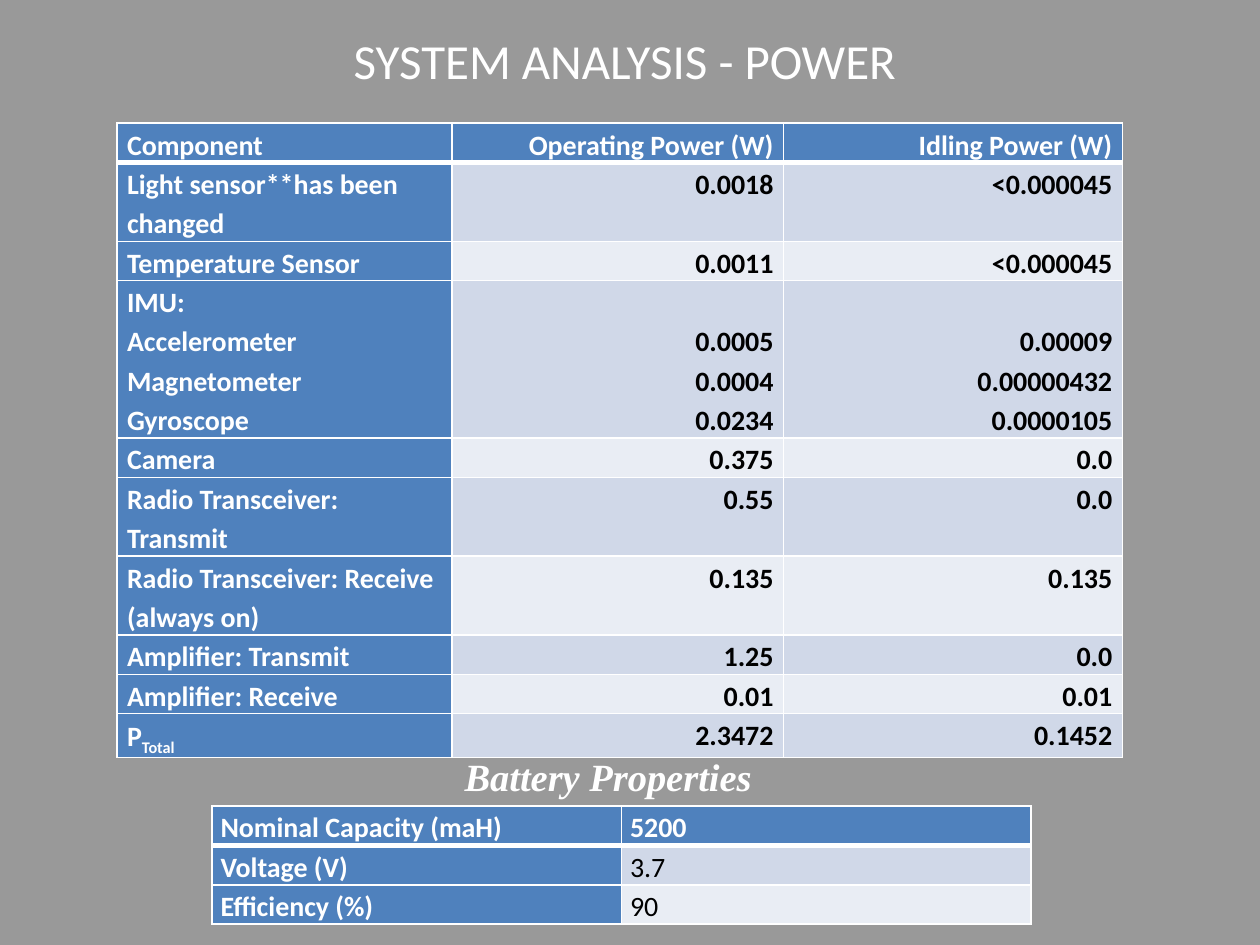
from dataclasses import dataclass

from lxml.etree import SubElement
from pptx import Presentation
from pptx.dml.color import RGBColor as RGB
from pptx.enum.text import MSO_ANCHOR as ANCHOR, PP_ALIGN as ALIGN
from pptx.oxml.ns import qn
from pptx.util import Pt


@dataclass(frozen=True)
class Theme:
    background: str = "999999"
    accent: str = "4F81BD"
    bands: tuple = ("D0D8E8", "E9EDF4")
    light: str = "FFFFFF"
    dark: str = "000000"
    sans: str = "Calibri"
    serif: str = "Times New Roman"
    title: int = 28
    caption: int = 22
    body: int = 16
    rule: int = 1
    header_rule: int = 3


def write(tf, text, *, size, font, color, bold=False, italic=False,
          align=ALIGN.LEFT, spacing=1.0):
    """Write one paragraph per line; what follows "_" in a line is subscript."""
    for i, line in enumerate(text.split("\n")):
        p = tf.paragraphs[0] if i == 0 else tf.add_paragraph()
        p.alignment = align
        p.line_spacing = spacing
        for j, part in enumerate(line.split("_")):
            r = p.add_run()
            r.text = part
            r.font.size = Pt(size)
            r.font.name = font
            r.font.bold = bold
            r.font.italic = italic
            r.font.color.rgb = RGB.from_string(color)
            if j:
                r._r.get_or_add_rPr().set("baseline", "-25000")


def set_borders(cell, color, **widths):
    """Draw the L, R, T and B sides; they must precede the cell's fill."""
    tc_pr = cell._tc.get_or_add_tcPr()
    for i, (side, width) in enumerate(widths.items()):
        ln = SubElement(tc_pr, qn(f"a:ln{side}"), w=str(Pt(width)))
        fill = SubElement(ln, qn("a:solidFill"))
        SubElement(fill, qn("a:srgbClr"), val=color)
        tc_pr.insert(i, ln)


class SlideBuilder:
    def __init__(self, prs, theme):
        self.theme = theme
        self.s = prs.slides.add_slide(prs.slide_layouts[6])
        fill = self.s.background.fill
        fill.solid()
        fill.fore_color.rgb = RGB.from_string(theme.background)

    def text(self, text, x, y, w, h, anchor=ANCHOR.TOP, **fmt):
        tf = self.s.shapes.add_textbox(Pt(x), Pt(y), Pt(w), Pt(h)).text_frame
        tf.word_wrap = True
        tf.vertical_anchor = anchor
        write(tf, text, color=self.theme.light, align=ALIGN.CENTER, **fmt)

    def table(self, rows, x, y, widths, lines, line_height, inset,
              value_align=ALIGN.LEFT, value_bold=False):
        """Add a table; lines holds the number of text lines in each row."""
        heights = [n * line_height for n in lines]
        frame = self.s.shapes.add_table(len(rows), len(widths), Pt(x), Pt(y),
                                        Pt(sum(widths)), Pt(sum(heights)))
        table = frame.table
        for column, width in zip(table.columns, widths):
            column.width = Pt(width)
        for i, (row, height) in enumerate(zip(rows, heights)):
            table.rows[i].height = Pt(height)
            for j, text in enumerate(row):
                self.cell(table.cell(i, j), text, i, j, inset,
                          value_align, value_bold)

    def cell(self, cell, text, i, j, inset, value_align, value_bold):
        t = self.theme
        heading = i == 0 or j == 0
        cell.margin_left = cell.margin_right = Pt(inset)
        cell.margin_top = cell.margin_bottom = 0
        # Grouped values line up with the last lines of their label
        cell.vertical_anchor = ANCHOR.BOTTOM if j and "\n" in text else ANCHOR.TOP
        cell.fill.solid()
        fill = t.accent if heading else t.bands[(i - 1) % 2]
        cell.fill.fore_color.rgb = RGB.from_string(fill)
        set_borders(cell, t.light, L=t.rule, R=t.rule,
                    T=t.header_rule if i == 1 else t.rule,
                    B=t.header_rule if i == 0 else t.rule)
        write(cell.text_frame, text, size=t.body, font=t.sans,
              color=t.light if heading else t.dark,
              bold=heading or value_bold,
              align=value_align if j else ALIGN.LEFT, spacing=1.15)


POWER = [
    ("Component", "Operating Power (W)", "Idling Power (W)"),
    ("Light sensor**has been changed", "0.0018", "<0.000045"),
    ("Temperature Sensor", "0.0011", "<0.000045"),
    ("IMU:\nAccelerometer\nMagnetometer\nGyroscope",
     "0.0005\n0.0004\n0.0234", "0.00009\n0.00000432\n0.0000105"),
    ("Camera", "0.375", "0.0"),
    ("Radio Transceiver: Transmit", "0.55", "0.0"),
    ("Radio Transceiver: Receive (always on)", "0.135", "0.135"),
    ("Amplifier: Transmit", "1.25", "0.0"),
    ("Amplifier: Receive", "0.01", "0.01"),
    ("P_Total", "2.3472", "0.1452"),
]
BATTERY = [
    ("Nominal Capacity (maH)", "5200"),
    ("Voltage (V)", "3.7"),
    ("Efficiency (%)", "90"),
]


def main():
    prs = Presentation()
    prs.slide_width, prs.slide_height = Pt(720), Pt(540)
    theme = Theme()
    slide = SlideBuilder(prs, theme)
    slide.table(POWER, 66.8, 70.4, (191.4, 189.6, 193.6),
                lines=(1, 2, 1, 4, 1, 2, 2, 1, 1, 1), line_height=22.1,
                inset=5.8, value_align=ALIGN.RIGHT, value_bold=True)
    slide.table(BATTERY, 121, 460.6, (234, 234), lines=(1, 1, 1),
                line_height=22.1, inset=5)
    slide.text("Battery Properties", 257, 427, 181, 34, size=theme.caption,
               font=theme.serif, bold=True, italic=True)
    slide.text("SYSTEM ANALYSIS - POWER", 12, 10, 690, 53, size=theme.title,
               font=theme.sans, anchor=ANCHOR.MIDDLE, spacing=0.9)
    prs.save("out.pptx")


if __name__ == "__main__":
    main()
